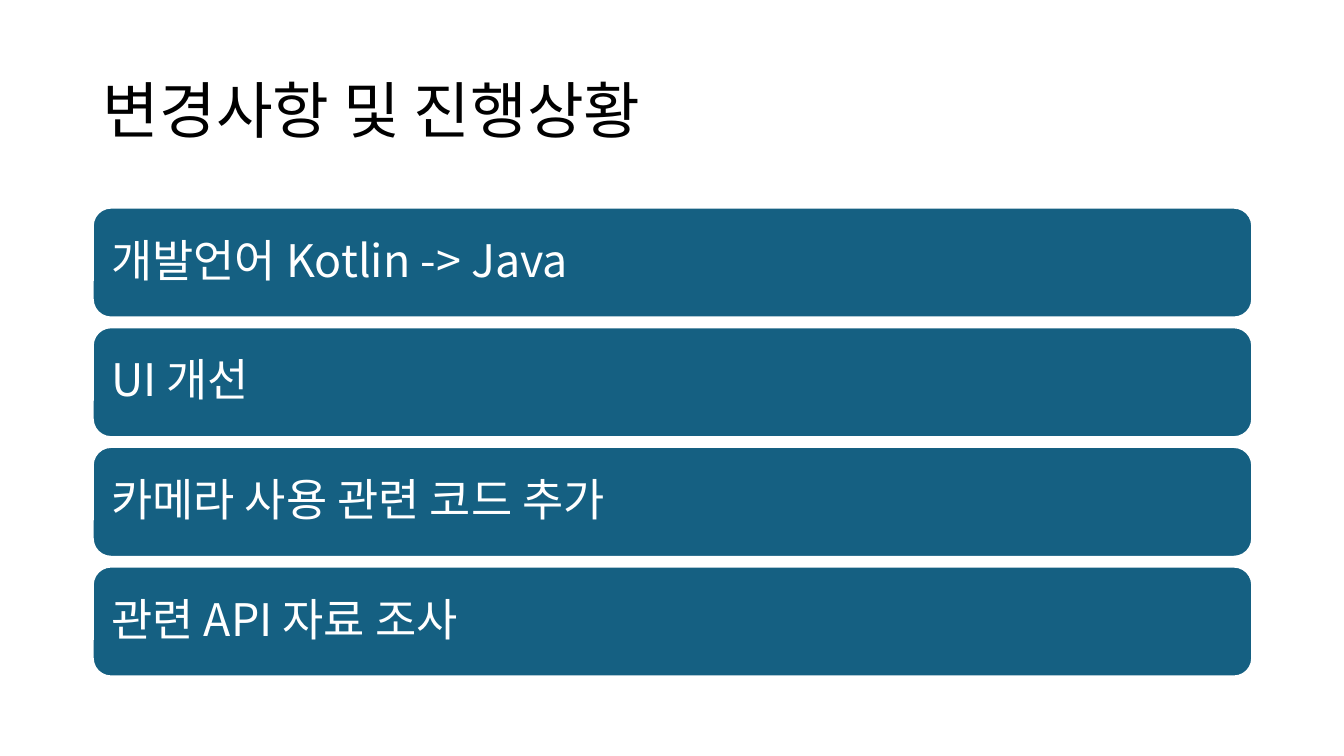
from lxml.etree import SubElement
from pptx import Presentation
from pptx.dml.color import RGBColor
from pptx.enum.shapes import MSO_SHAPE
from pptx.enum.text import MSO_ANCHOR, PP_ALIGN
from pptx.oxml.ns import qn
from pptx.util import Inches, Pt

BLACK = RGBColor(0x00, 0x00, 0x00)
WHITE = RGBColor(0xFF, 0xFF, 0xFF)
TEAL = RGBColor(0x15, 0x60, 0x82)
FONT = "Noto Sans CJK KR"
LEFT, WIDTH = 0.92, 11.5
BAR_TOP, BAR_HEIGHT, BAR_STEP = 2.06, 1.09, 1.187
CHANGES = (
    "개발언어 Kotlin -> Java",
    "UI 개선",
    "카메라 사용 관련 코드 추가",
    "관련 API 자료 조사",
)


def write_text(shape, text, size, color, inset_x=0.1, inset_y=0.05):
    """Write one left-aligned, vertically centred paragraph into a shape."""
    frame = shape.text_frame
    frame.word_wrap = True
    frame.vertical_anchor = MSO_ANCHOR.MIDDLE
    frame.margin_left = frame.margin_right = Inches(inset_x)
    frame.margin_top = frame.margin_bottom = Inches(inset_y)
    para = frame.paragraphs[0]
    para.alignment = PP_ALIGN.LEFT
    para.line_spacing = 0.9
    span = para.add_run()
    span.text = text
    span.font.size = Pt(size)
    span.font.name = FONT
    span.font.color.rgb = color
    SubElement(span.font._element, qn("a:ea"), typeface=FONT)


def add_title(page, text):
    """Add the slide heading."""
    box = page.shapes.add_textbox(
        Inches(LEFT), Inches(0.4), Inches(WIDTH), Inches(1.45)
    )
    write_text(box, text, size=44, color=BLACK)


def add_bar(page, text, top):
    """Add one rounded bar with its label."""
    bar = page.shapes.add_shape(
        MSO_SHAPE.ROUNDED_RECTANGLE,
        Inches(LEFT), Inches(top), Inches(WIDTH), Inches(BAR_HEIGHT),
    )
    bar.shadow.inherit = False
    bar.fill.solid()
    bar.fill.fore_color.rgb = TEAL
    bar.line.color.rgb = WHITE
    bar.line.width = Pt(1.5)
    write_text(bar, text, size=32, color=WHITE, inset_x=0.13, inset_y=0.13)


def main():
    """Build the slide and save the deck."""
    deck = Presentation()
    deck.slide_width = Inches(13.33)
    deck.slide_height = Inches(7.5)
    page = deck.slides.add_slide(deck.slide_layouts[6])
    add_title(page, "변경사항 및 진행상황")
    for index, change in enumerate(CHANGES):
        add_bar(page, change, top=BAR_TOP + index * BAR_STEP)
    deck.save("out.pptx")


if __name__ == "__main__":
    main()
